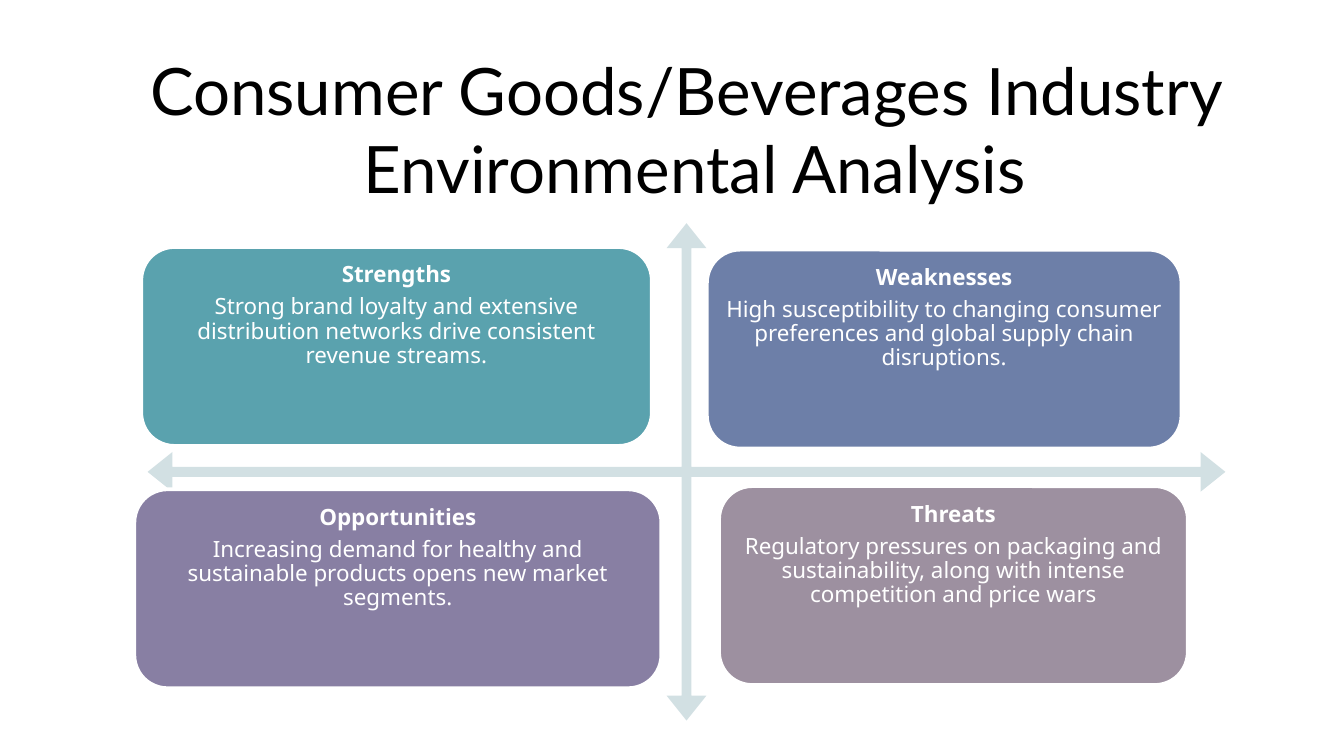
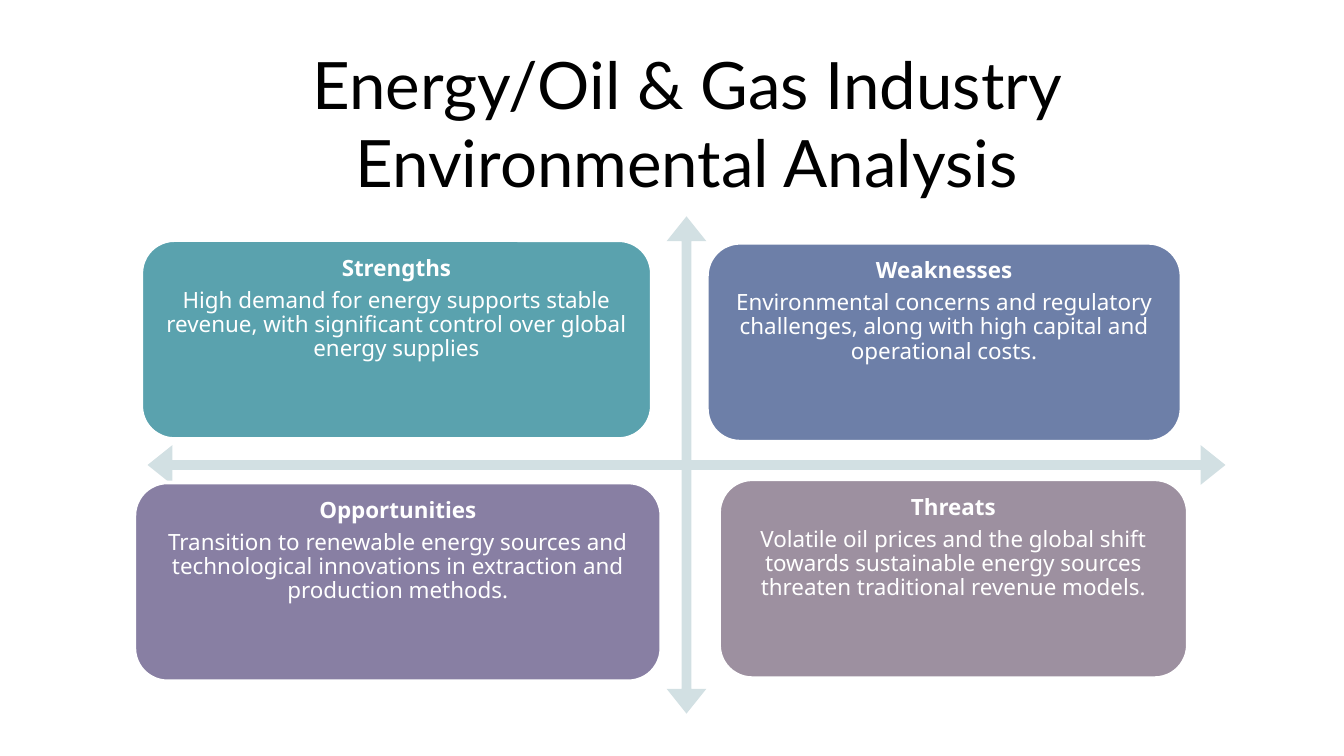
"""Build two industry SWOT slides around a four-way arrow."""
from dataclasses import dataclass

from pptx import Presentation
from pptx import util as u
from pptx.dml.color import RGBColor
from pptx.enum import shapes, text


@dataclass(frozen=True)
class Theme:
    ink: str = "000000"
    white: str = "FFFFFF"
    arrow: str = "D2E0E3"
    strengths: str = "5AA2AE"
    weaknesses: str = "6D7FA8"
    opportunities: str = "887FA3"
    threats: str = "9D90A0"
    title_font: str = "Lato"
    body_font: str = "Noto Sans"
    title_size: float = 35
    body_size: float = 12
    space_after: float = 4.2


theme = Theme()


def write(paragraph, content, *, font, size, color, bold=False, spacing=1.0, after=0):
    paragraph.text = content
    paragraph.alignment = text.PP_ALIGN.CENTER
    paragraph.line_spacing = spacing
    paragraph.space_after = u.Pt(after)
    for run in paragraph.runs:
        run.font.name = font
        run.font.size = u.Pt(size)
        run.font.bold = bold
        run.font.color.rgb = RGBColor.from_string(color)


def prepare_frame(frame, inset):
    frame.word_wrap = True
    frame.vertical_anchor = text.MSO_ANCHOR.TOP
    frame.margin_left = frame.margin_right = u.Cm(inset)
    frame.margin_top = frame.margin_bottom = u.Cm(inset)


card_height = 3.76
quadrants = [
    ("Strengths", theme.strengths, 2.67, 4.67, 9.65),
    ("Weaknesses", theme.weaknesses, 13.36, 4.72, 8.97),
    ("Opportunities", theme.opportunities, 2.54, 9.25, 9.96),
    ("Threats", theme.threats, 13.59, 9.19, 8.86),
]
industries = [
    (
        "Consumer Goods/Beverages Industry\v Environmental Analysis",
        0.69,
        0,
        [
            "Strong brand loyalty and extensive distribution networks drive consistent revenue streams.",
            "High susceptibility to changing consumer preferences and global supply chain disruptions.",
            "Increasing demand for healthy and sustainable products opens new market segments.",
            "Regulatory pressures on packaging and sustainability, along with intense competition and price wars",
        ],
    ),
    (
        "Energy/Oil & Gas Industry Environmental Analysis",
        0.58,
        0.13,
        [
            "High demand for energy supports stable revenue, with significant control over global energy supplies",
            "Environmental concerns and regulatory challenges, along with high capital and operational costs.",
            "Transition to renewable energy sources and technological innovations in extraction and production methods.",
            "Volatile oil prices and the global shift towards sustainable energy sources threaten traditional revenue models.",
        ],
    ),
]

presentation = Presentation()
presentation.slide_width = u.Cm(25.4)
presentation.slide_height = u.Cm(14.29)

for title, title_top, lift, findings in industries:
    slide = presentation.slides.add_slide(presentation.slide_layouts[6])

    heading = slide.shapes.add_textbox(u.Cm(2.26), u.Cm(title_top), u.Cm(21.44), u.Cm(1.6))
    prepare_frame(heading.text_frame, 0.25)
    write(heading.text_frame.paragraphs[0], title, font=theme.title_font,
          size=theme.title_size, color=theme.ink)

    matrix = slide.shapes.add_group_shape()
    arrow = matrix.shapes.add_shape(shapes.MSO_SHAPE.QUAD_ARROW, u.Cm(2.79), u.Cm(4.22 - lift),
                                    u.Cm(20.37), u.Cm(9.4))
    arrow.shadow.inherit = False
    for index, adjustment in enumerate((0.02, 0.04, 0.05)):
        arrow.adjustments[index] = adjustment
    arrow.fill.solid()
    arrow.fill.fore_color.rgb = RGBColor.from_string(theme.arrow)
    arrow.line.fill.background()

    for (name, color, left, top, width), finding in zip(quadrants, findings):
        card = matrix.shapes.add_shape(shapes.MSO_SHAPE.ROUNDED_RECTANGLE, u.Cm(left),
                                       u.Cm(top - lift), u.Cm(width), u.Cm(card_height))
        card.shadow.inherit = False
        card.fill.solid()
        card.fill.fore_color.rgb = RGBColor.from_string(color)
        card.line.color.rgb = RGBColor.from_string(theme.white)
        card.line.width = u.Pt(2)
        frame = card.text_frame
        prepare_frame(frame, 0.13)
        for paragraph, content, bold in ((frame.paragraphs[0], name, True),
                                         (frame.add_paragraph(), finding, False)):
            write(paragraph, content, font=theme.body_font, size=theme.body_size,
                  color=theme.white, bold=bold, spacing=0.9, after=theme.space_after)

presentation.save("out.pptx")
